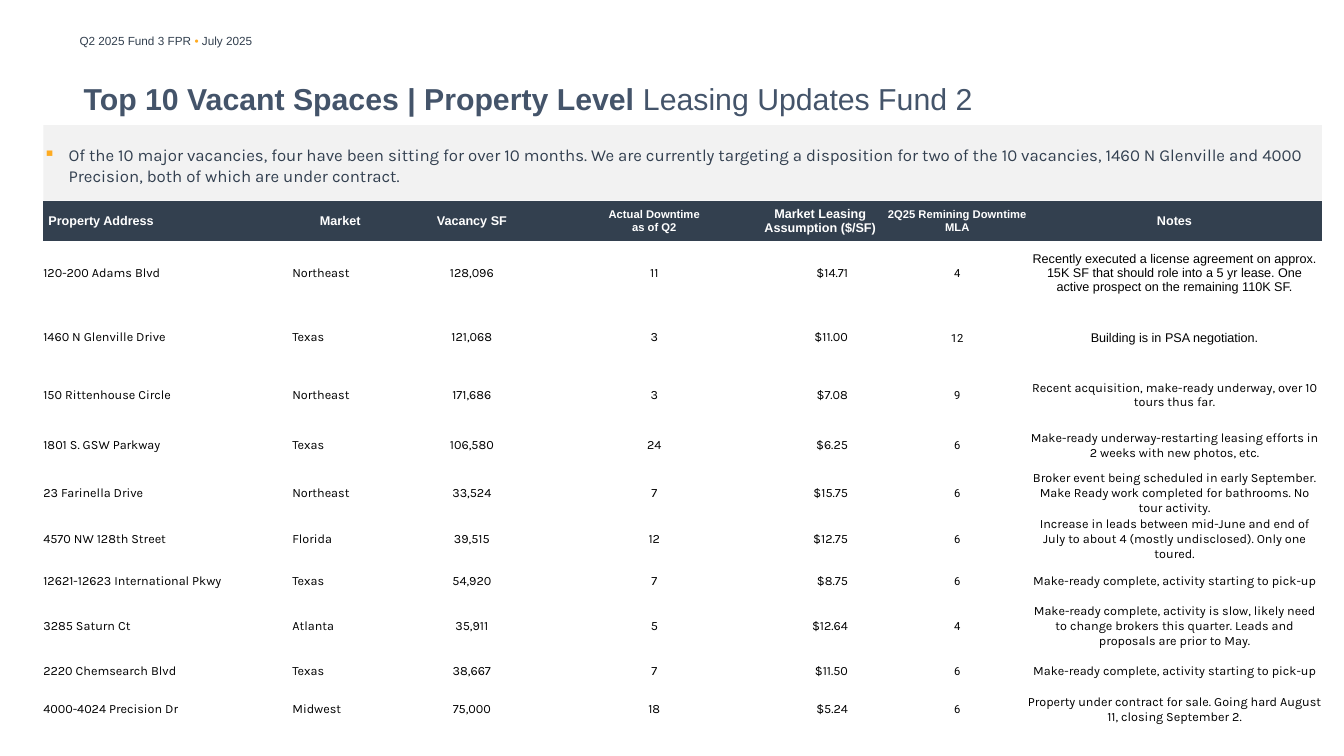
from pptx import Presentation
from pptx.dml.color import RGBColor
from pptx.enum.shapes import MSO_SHAPE
from pptx.enum.text import MSO_ANCHOR, PP_ALIGN
from pptx.oxml.ns import qn
from lxml import etree

PX = 9144
RECTANGLE = MSO_SHAPE.RECTANGLE
TOP, MIDDLE = MSO_ANCHOR.TOP, MSO_ANCHOR.MIDDLE
LEFT, CENTER, RIGHT = PP_ALIGN.LEFT, PP_ALIGN.CENTER, PP_ALIGN.RIGHT
PLAIN_TABLE = "{2D5ABB26-0587-4C30-8999-92F81FD0307C}"

NAVY = RGBColor(0x33, 0x40, 0x4F)
SLATE = RGBColor(0x33, 0x40, 0x50)
TITLE_BLUE = RGBColor(0x44, 0x54, 0x6A)
ORANGE = RGBColor(0xFF, 0xAB, 0x21)
BULLET_ORANGE = RGBColor(0xFE, 0xAB, 0x21)
PALE_GREY = RGBColor(0xF2, 0xF2, 0xF2)
WHITE = RGBColor(0xFF, 0xFF, 0xFF)
BLACK = RGBColor(0, 0, 0)

RUNNING = {"name": "Arial", "size": 8.4, "color": NAVY}
TITLE = {"name": "Arial", "size": 21.6, "color": TITLE_BLUE}
SUMMARY = {"name": "Karla", "size": 12, "color": SLATE}
HEADING = {"name": "Arial", "size": 9, "color": WHITE, "bold": True}
SMALL_HEADING = {**HEADING, "size": 8}
BODY = {"name": "Karla", "size": 9, "color": BLACK}
DOWNTIME = {**BODY, "name": "Roboto", "size": 8}
ARIAL_NOTE = {**BODY, "name": "Arial"}

NONE, PADDED = (0, 0, 0, 0), (5, 5, 5, 5)
COLUMN_WIDTHS = [247, 95, 166, 196, 133, 139, 292]
ROW_HEIGHTS = [39, 64, 64, 50, 50, 39, 39, 39, 50, 39, 37]
HEADINGS = [
    (["Property Address"], HEADING, LEFT, PADDED),
    (["Market"], HEADING, CENTER, PADDED),
    (["Vacancy SF"], HEADING, CENTER, PADDED),
    (["Actual Downtime", "as of Q2"], SMALL_HEADING, CENTER, NONE),
    (["Market Leasing Assumption ($/SF)"], HEADING, CENTER, PADDED),
    (["2Q25 Remining Downtime MLA"], SMALL_HEADING, CENTER, NONE),
    (["Notes"], HEADING, CENTER, PADDED),
]
COLUMN_FORMATS = [
    (BODY, LEFT, NONE),
    (BODY, LEFT, NONE),
    (BODY, CENTER, NONE),
    (BODY, CENTER, NONE),
    (BODY, RIGHT, (0, 0, 39, 0)),
    (DOWNTIME, CENTER, (1, 1, 1, 0)),
    (BODY, CENTER, NONE),
]
PADDED_NOTE = (ARIAL_NOTE, CENTER, PADDED)
PADDED_NOTE_COUNT = 2
VACANCIES = [
    ("120-200 Adams Blvd", "Northeast", "128,096", "11", "$14.71", "4",
     "Recently executed a license agreement on approx. 15K SF that should role into "
     "a 5 yr lease. One active prospect on the remaining 110K SF."),
    ("1460 N Glenville Drive", "Texas", "121,068", "3", "$11.00", "12",
     "Building is in PSA negotiation."),
    ("150 Rittenhouse Circle", "Northeast", "171,686", "3", "$7.08", "9",
     "Recent acquisition, make-ready underway, over 10 tours thus far."),
    ("1801 S. GSW Parkway", "Texas", "106,580", "24", "$6.25", "6",
     "Make-ready underway-restarting leasing efforts in 2 weeks with new photos, etc."),
    ("23 Farinella Drive", "Northeast", "33,524", "7", "$15.75", "6",
     "Broker event being scheduled in early September. Make Ready work completed "
     "for bathrooms. No tour activity."),
    ("4570 NW 128th Street", "Florida", "39,515", "12", "$12.75", "6",
     "Increase in leads between mid-June and end of July to about 4 "
     "(mostly undisclosed). Only one toured."),
    ("12621-12623 International Pkwy", "Texas", "54,920", "7", "$8.75", "6",
     "Make-ready complete, activity starting to pick-up"),
    ("3285 Saturn Ct", "Atlanta", "35,911", "5", "$12.64", "4",
     "Make-ready complete, activity is slow, likely need to change brokers this "
     "quarter. Leads and proposals are prior to May."),
    ("2220 Chemsearch Blvd", "Texas", "38,667", "7", "$11.50", "6",
     "Make-ready complete, activity starting to pick-up"),
    ("4000-4024 Precision Dr", "Midwest", "75,000", "18", "$5.24", "6",
     "Property under contract for sale. Going hard August 11, closing September 2."),
]


class Page:
    """Draws styled elements on one slide, with lengths in px of 1/100 inch."""

    def __init__(self, slide):
        self.slide = slide

    def place(self, *lengths):
        return [length * PX for length in lengths]

    def frame(self, holder, insets, anchor):
        for side, inset in zip(("left", "top", "right", "bottom"), insets):
            setattr(holder, f"margin_{side}", inset * PX)
        holder.vertical_anchor = anchor

    def add_spans(self, para, spans, align=LEFT):
        para.alignment = align
        for text, style in spans:
            span = para.add_run()
            span.text = text
            for key, value in style.items():
                if key == "color":
                    span.font.color.rgb = value
                elif key == "size":
                    span.font.size = int(value * 12700)
                else:
                    setattr(span.font, key, value)

    def text(self, place, spans, insets, anchor):
        box = self.slide.shapes.add_textbox(*self.place(*place))
        box.text_frame.word_wrap = True
        self.frame(box.text_frame, insets, anchor)
        self.add_spans(box.text_frame.paragraphs[0], spans)

    def bullet_band(self, place, spans, insets, indent):
        band = self.slide.shapes.add_shape(RECTANGLE, *self.place(*place))
        band.shadow.inherit = False
        band.fill.solid()
        band.fill.fore_color.rgb = PALE_GREY
        band.line.fill.background()
        band.text_frame.word_wrap = True
        self.frame(band.text_frame, insets, TOP)
        para = band.text_frame.paragraphs[0]
        self.add_spans(para, spans)
        properties = para._p.get_or_add_pPr()
        properties.set("marL", str(indent * PX))
        properties.set("indent", str(-indent * PX))
        color = etree.SubElement(properties, qn("a:buClr"))
        etree.SubElement(color, qn("a:srgbClr"), val=str(BULLET_ORANGE))
        etree.SubElement(properties, qn("a:buChar"), char="▪")

    def cell(self, cell, lines, style, align, insets, fill=None):
        self.frame(cell, insets, MIDDLE)
        if fill is None:
            cell.fill.background()
        else:
            cell.fill.solid()
            cell.fill.fore_color.rgb = fill
        for index, line in enumerate(lines):
            paras = cell.text_frame
            para = paras.add_paragraph() if index else paras.paragraphs[0]
            self.add_spans(para, [(line, style)], align)

    def vacancy_table(self, left, top):
        place = self.place(left, top, sum(COLUMN_WIDTHS), sum(ROW_HEIGHTS))
        holder = self.slide.shapes.add_table(len(ROW_HEIGHTS), len(COLUMN_WIDTHS), *place)
        for style_id in holder.element.iter(qn("a:tableStyleId")):
            style_id.text = PLAIN_TABLE
        table = holder.table
        table.horz_banding = False
        for column, width in zip(table.columns, COLUMN_WIDTHS):
            column.width = width * PX
        for row, height in zip(table.rows, ROW_HEIGHTS):
            row.height = height * PX
        for index, heading in enumerate(HEADINGS):
            self.cell(table.cell(0, index), *heading, fill=NAVY)
        for row, vacancy in enumerate(VACANCIES, 1):
            formats = list(COLUMN_FORMATS)
            if row <= PADDED_NOTE_COUNT:
                formats[-1] = PADDED_NOTE
            for index, (value, layout) in enumerate(zip(vacancy, formats)):
                self.cell(table.cell(row, index), [value], *layout)


def main():
    deck = Presentation()
    deck.slide_width, deck.slide_height = 1333 * PX, 750 * PX
    page = Page(deck.slides.add_slide(deck.slide_layouts[6]))
    page.text((69, 29, 451, 24), [
        ("Q2 2025 Fund 3 FPR ", RUNNING),
        ("• ", {**RUNNING, "color": ORANGE}),
        ("July 2025", RUNNING),
    ], (10, 5, 10, 5), TOP)
    page.text((83, 60, 1102, 75), [
        ("Top 10 Vacant Spaces | Property Level ", {**TITLE, "bold": True}),
        ("Leasing Updates Fund 2", TITLE),
    ], NONE, MIDDLE)
    page.bullet_band((43, 124, 1268, 75), [(
        "Of the 10 major vacancies, four have been sitting for over 10 months. We are "
        "currently targeting a disposition for two of the 10 vacancies, 1460 N Glenville "
        "and 4000 Precision, both of which are under contract.", SUMMARY,
    )], (0, 20, 0, 0), 25)
    page.vacancy_table(43, 199)
    deck.save("out.pptx")


if __name__ == "__main__":
    main()
